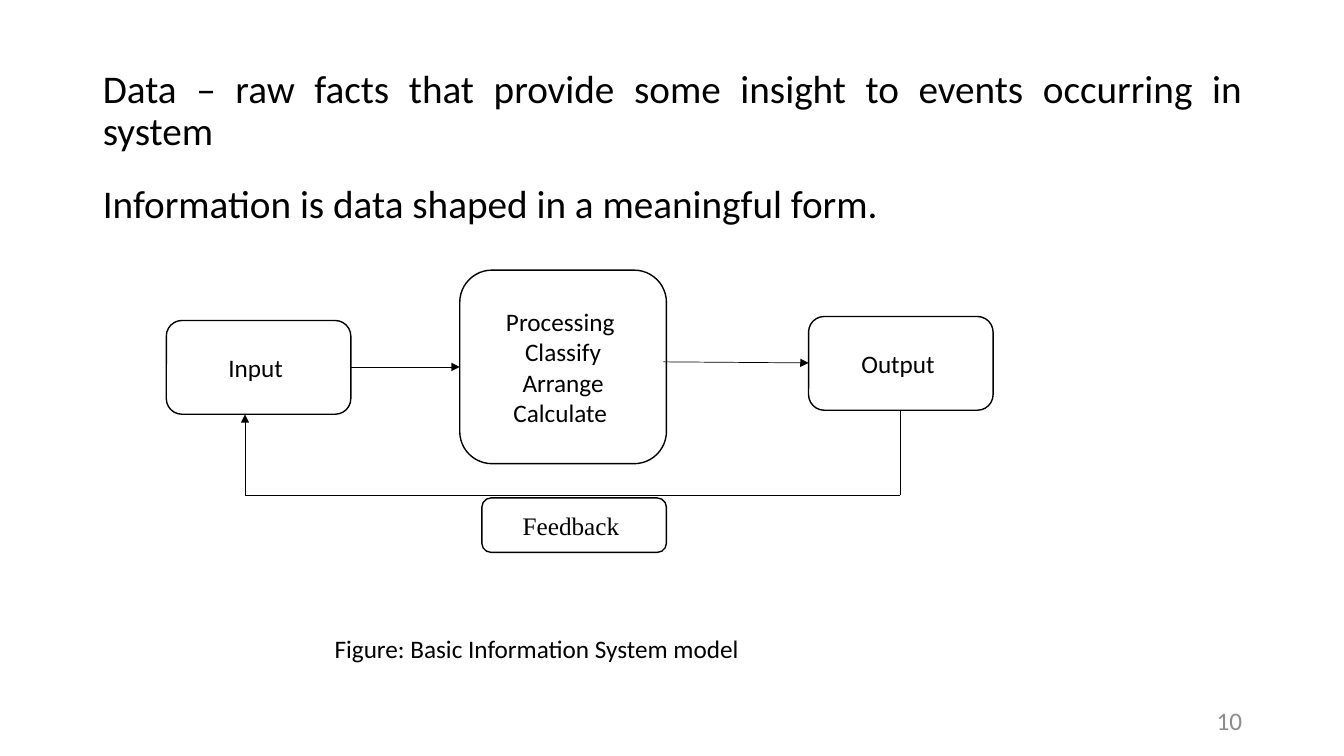
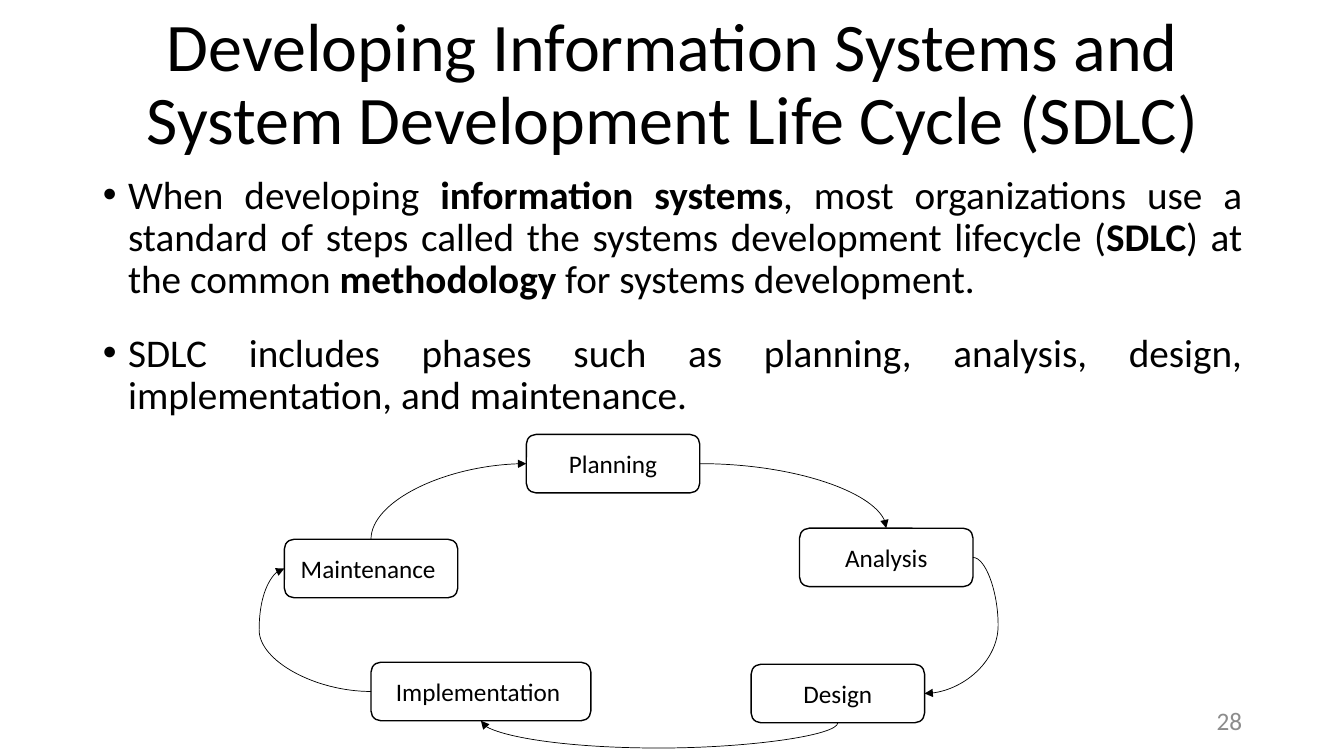
from dataclasses import dataclass
from enum import IntEnum

import pptx
import pptx.dml.color
import pptx.enum.shapes
import pptx.enum.text
import pptx.oxml
import pptx.oxml.ns
import pptx.util
from lxml import etree

# Shared look
PX = 9144  # EMU in one px, 100 px to the inch
SANS, SERIF = "Calibri", "Times New Roman"
BLACK, WHITE, GREY = "000000", "FFFFFF", "8C8C8C"
LABEL_SIZE, BODY_SIZE, TITLE_SIZE = 18, 28, 48.6
BULLET_INDENT = 25
CURVE_BULGE = 25
ALIGN = pptx.enum.text.PP_ALIGN
MIDDLE = pptx.enum.text.MSO_ANCHOR.MIDDLE
CONNECTOR = pptx.enum.shapes.MSO_CONNECTOR
ROUNDED = pptx.enum.shapes.MSO_SHAPE.ROUNDED_RECTANGLE
qn = pptx.oxml.ns.qn


class Side(IntEnum):
    TOP = 0
    LEFT = 1
    BOTTOM = 2
    RIGHT = 3


@dataclass(frozen=True)
class Box:
    left: int
    top: int
    width: int
    height: int


@dataclass(frozen=True)
class Step:
    label: str
    box: Box
    font: str = SANS


@dataclass(frozen=True)
class Flow:
    start: tuple[int, int]
    end: tuple[int, int]
    arrow: bool = True


@dataclass(frozen=True)
class Curve:
    source: str
    source_side: Side
    target: str
    target_side: Side


def px(length: int) -> int:
    return pptx.util.Emu(length * PX)


def colour(code: str) -> pptx.dml.color.RGBColor:
    return pptx.dml.color.RGBColor.from_string(code)


def place(shape, box: Box) -> None:
    shape.left, shape.top = px(box.left), px(box.top)
    shape.width, shape.height = px(box.width), px(box.height)


def format_text(frame, size: float, align, font: str = SANS, code: str = BLACK) -> None:
    frame.word_wrap = True
    frame.auto_size = pptx.enum.text.MSO_AUTO_SIZE.NONE
    for paragraph in frame.paragraphs:
        paragraph.alignment = align
        for run in paragraph.runs:
            run.font.size = pptx.util.Pt(size)
            run.font.name = font
            run.font.color.rgb = colour(code)


# Titles, lists and captions
def write_title(slide, text: str, box: Box) -> None:
    title = slide.shapes.title
    place(title, box)
    frame = title.text_frame
    frame.text = text
    frame.vertical_anchor = MIDDLE
    frame.paragraphs[0].line_spacing = 0.9
    format_text(frame, TITLE_SIZE, ALIGN.CENTER)


def write_body(slide, statements: list[str], box: Box, bulleted: bool) -> None:
    """Write one paragraph per statement; words between asterisks are bold."""
    body = slide.placeholders[1]
    place(body, box)
    frame = body.text_frame
    indent = px(BULLET_INDENT) if bulleted else 0
    for index, statement in enumerate(statements):
        paragraph = frame.add_paragraph() if index else frame.paragraphs[0]
        for part, words in enumerate(statement.split("*")):
            run = paragraph.add_run()
            run.text = words
            run.font.bold = part % 2 == 1
        paragraph.line_spacing = 0.9
        paragraph.space_before = pptx.util.Pt(10)
        paragraph.space_after = pptx.util.Pt(12)
        properties = paragraph._p.get_or_add_pPr()
        properties.set("marL", str(indent))
        properties.set("indent", str(-indent))
        if bulleted:
            etree.SubElement(properties, qn("a:buFont")).set("typeface", "Arial")
            etree.SubElement(properties, qn("a:buChar")).set("char", "•")
        else:
            etree.SubElement(properties, qn("a:buNone"))
    format_text(frame, BODY_SIZE, ALIGN.JUSTIFY)


def write_caption(slide, text: str, box: Box, align=ALIGN.LEFT, code: str = BLACK):
    caption = slide.shapes.add_textbox(0, 0, 0, 0)
    place(caption, box)
    caption.text_frame.text = text
    format_text(caption.text_frame, LABEL_SIZE, align, code=code)
    return caption


def write_page_number(slide, number: int) -> None:
    footer = write_caption(slide, str(number), Box(942, 695, 300, 40), ALIGN.RIGHT, GREY)
    footer.text_frame.vertical_anchor = MIDDLE


# Diagram parts
def draw_step(slide, step: Step):
    shape = slide.shapes.add_shape(ROUNDED, 0, 0, 0, 0)
    place(shape, step.box)
    shape.shadow.inherit = False
    shape.fill.solid()
    shape.fill.fore_color.rgb = colour(WHITE)
    shape.line.color.rgb = colour(BLACK)
    shape.line.width = pptx.util.Pt(1)
    shape.text_frame.text = step.label
    shape.text_frame.vertical_anchor = MIDDLE
    format_text(shape.text_frame, LABEL_SIZE, ALIGN.CENTER, step.font)
    return shape


def style_connector(connector, arrow: bool) -> None:
    connector.line.color.rgb = colour(BLACK)
    connector.line.width = pptx.util.Pt(0.5)
    properties = connector._element.spPr
    if arrow:
        tail = etree.SubElement(properties.find(qn("a:ln")), qn("a:tailEnd"))
        tail.set("type", "triangle")
    etree.SubElement(properties, qn("a:effectLst"))


def draw_flow(slide, flow: Flow) -> None:
    ends = [px(value) for value in (*flow.start, *flow.end)]
    style_connector(slide.shapes.add_connector(CONNECTOR.STRAIGHT, *ends), flow.arrow)


def draw_curve(slide, curve: Curve, steps: dict) -> None:
    connector = slide.shapes.add_connector(CONNECTOR.CURVE, 0, 0, 0, 0)
    connector.begin_connect(steps[curve.source], curve.source_side)
    connector.end_connect(steps[curve.target], curve.target_side)
    start = (connector.begin_x, connector.begin_y)
    end = (connector.end_x, connector.end_y)
    left, top = min(start[0], end[0]), min(start[1], end[1])
    width, height = abs(end[0] - start[0]), abs(end[1] - start[1])

    # A curve that leaves vertically is a horizontal one turned by 90 degrees
    vertical = curve.source_side in (Side.TOP, Side.BOTTOM)
    if vertical:
        turn = 90
        flip_h, flip_v = start[1] > end[1], start[0] < end[0]
        left, top = left + (width - height) // 2, top + (height - width) // 2
        width, height = height, width
    else:
        flip_h, flip_v = start[0] > end[0], start[1] > end[1]
        turn = 180 if flip_h and flip_v else 0
        if turn:
            flip_h = flip_v = False
    connector.left, connector.top = left, top
    connector.width, connector.height = width, height
    frame = connector._element.spPr.find(qn("a:xfrm"))
    for name, value in (("rot", turn * 60000), ("flipH", int(flip_h)), ("flipV", int(flip_v))):
        frame.set(name, str(value))

    # Equal sides bulge past the outer end; others make a quarter turn
    geometry = connector._element.spPr.find(qn("a:prstGeom"))
    if curve.source_side == curve.target_side:
        axis = int(vertical)
        outward = 1 if curve.source_side in (Side.BOTTOM, Side.RIGHT) else -1
        outer = max(start[axis] * outward, end[axis] * outward) * outward
        reach = outer + outward * px(CURVE_BULGE) - start[axis]
        guide = etree.SubElement(geometry.find(qn("a:avLst")), qn("a:gd"))
        guide.set("name", "adj1")
        guide.set("fmla", f"val {round(100000 * reach / (end[axis] - start[axis]))}")
    else:
        geometry.set("prst", "curvedConnector2")
    style_connector(connector, True)


# Slide content
def build_model_slide(deck) -> None:
    slide = deck.slides.add_slide(deck.slide_layouts[1])
    heading = slide.shapes.title._element
    heading.getparent().remove(heading)
    write_body(slide, [
        "Data – raw facts that provide some insight to events occurring in system",
        "Information is data shaped in a meaningful form. ",
    ], Box(92, 64, 1150, 617), bulleted=False)
    write_page_number(slide, 10)
    for step in (
        Step("Input ", Box(165, 318, 183, 93)),
        Step("Processing \nClassify\nArrange\nCalculate ", Box(456, 268, 205, 192)),
        Step("Output ", Box(802, 314, 183, 93)),
        Step("Feedback ", Box(478, 494, 183, 54), SERIF),
    ):
        draw_step(slide, step)
    for flow in (
        Flow((348, 364), (456, 364)),
        Flow((658, 359), (802, 360)),
        Flow((893, 407), (893, 491), arrow=False),
        Flow((893, 491), (243, 491), arrow=False),
        Flow((243, 491), (243, 411)),
    ):
        draw_flow(slide, flow)
    write_caption(slide, "Figure: Basic Information System model", Box(322, 623, 571, 40))


def build_life_cycle_slide(deck) -> None:
    slide = deck.slides.add_slide(deck.slide_layouts[1])
    write_title(
        slide,
        "Developing Information Systems and System Development Life Cycle (SDLC)",
        Box(92, 13, 1150, 145),
    )
    write_body(slide, [
        "When developing *information systems*, most organizations use a standard of steps "
        "called the systems development lifecycle (*SDLC*) at the common *methodology* "
        "for systems development. ",
        "SDLC includes phases such as planning, analysis, design, implementation, "
        "and maintenance.",
    ], Box(92, 169, 1150, 581), bulleted=True)
    write_page_number(slide, 28)
    phases = (
        Step("Planning", Box(522, 431, 172, 58)),
        Step("Implementation ", Box(368, 657, 218, 58)),
        Step("Design", Box(745, 659, 172, 58)),
        Step("Maintenance ", Box(282, 535, 172, 58)),
        Step("Analysis", Box(793, 524, 172, 58)),
    )
    drawn = {phase.label.strip(): draw_step(slide, phase) for phase in phases}
    for curve in (
        Curve("Planning", Side.RIGHT, "Analysis", Side.TOP),
        Curve("Design", Side.BOTTOM, "Implementation", Side.BOTTOM),
        Curve("Analysis", Side.RIGHT, "Design", Side.RIGHT),
        Curve("Implementation", Side.LEFT, "Maintenance", Side.LEFT),
        Curve("Maintenance", Side.TOP, "Planning", Side.LEFT),
    ):
        draw_curve(slide, curve, drawn)


def main() -> None:
    deck = pptx.Presentation()
    deck.slide_width, deck.slide_height = px(1333), px(750)
    build_model_slide(deck)
    build_life_cycle_slide(deck)
    deck.save("out.pptx")


if __name__ == "__main__":
    main()
